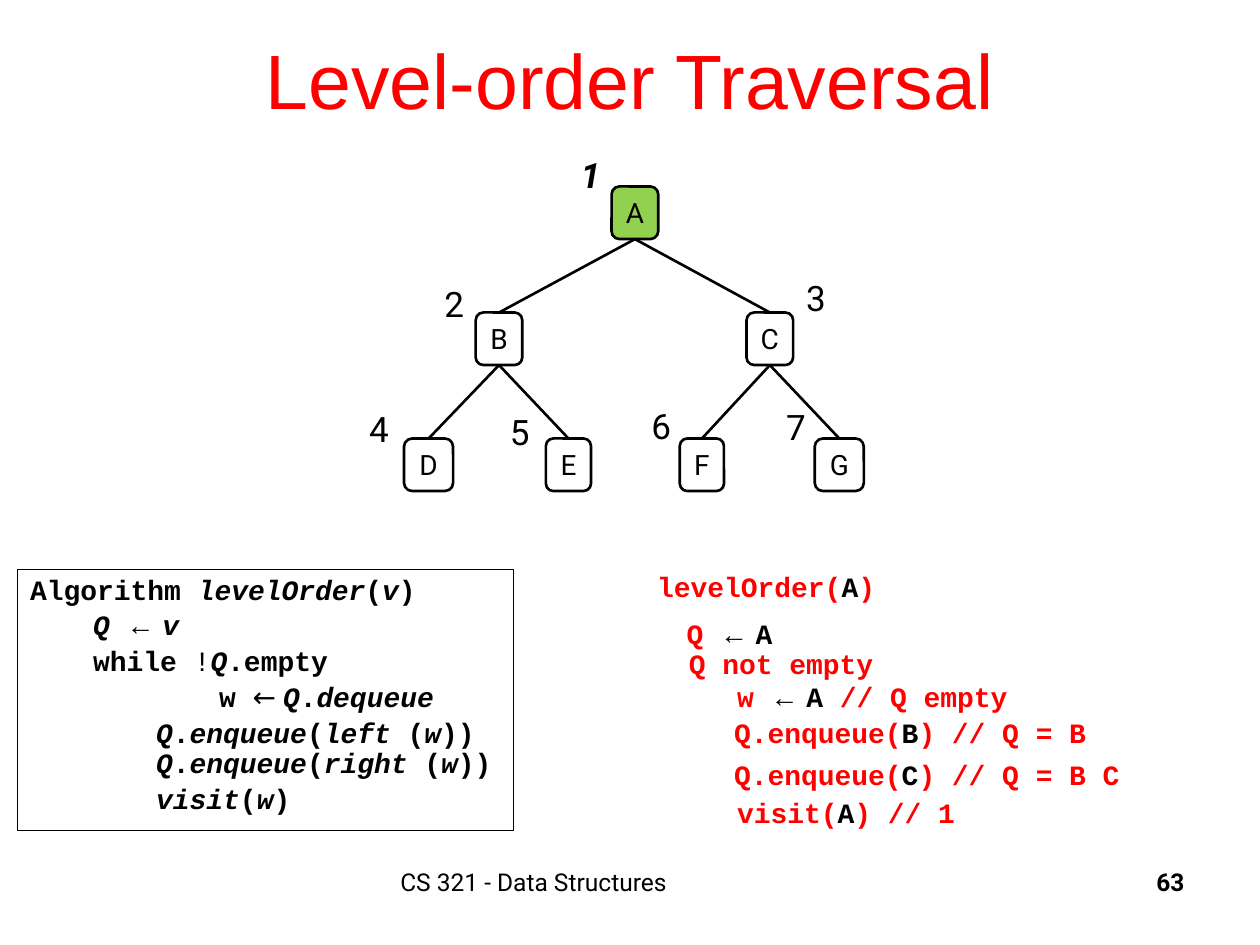
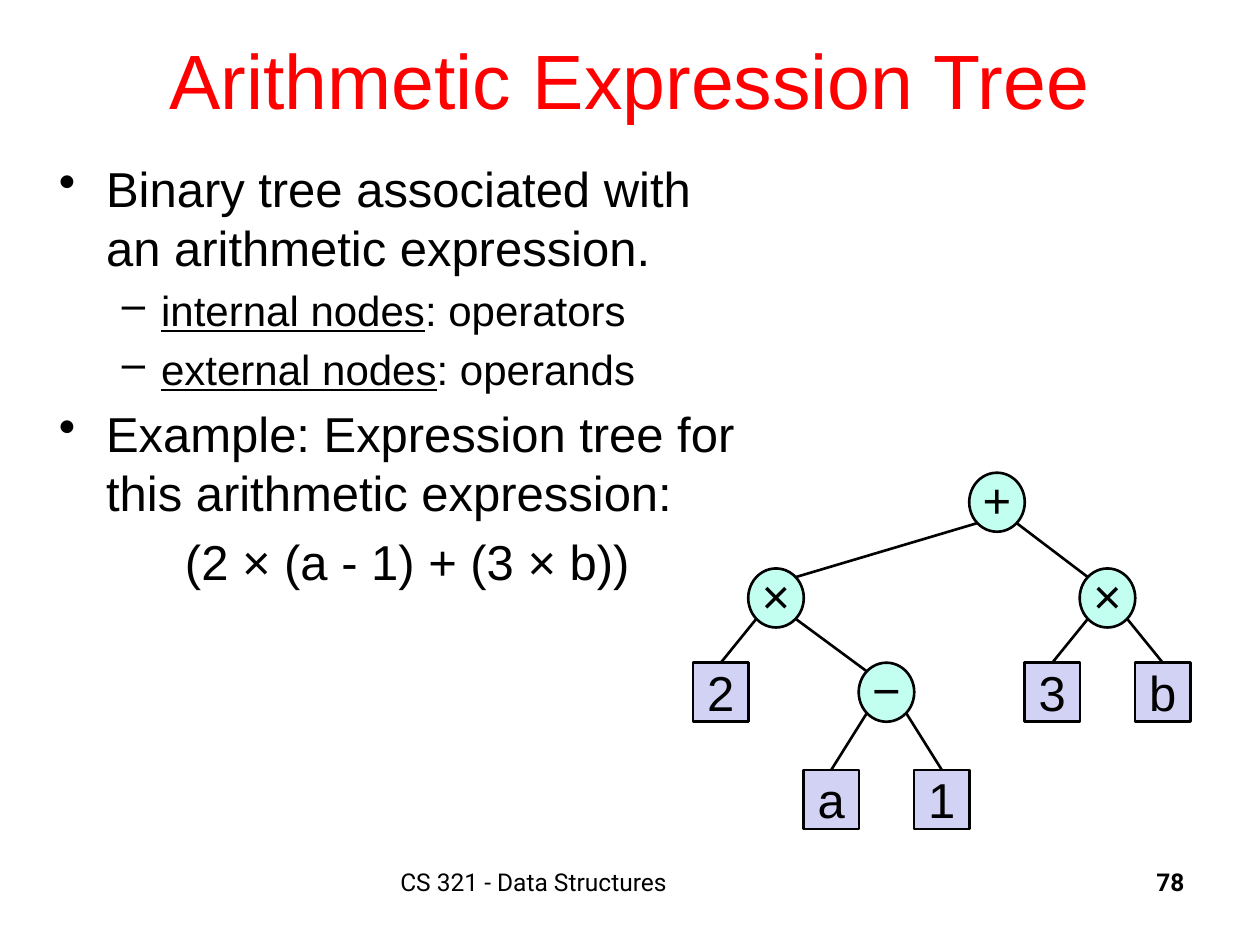
import dataclasses
import math

import lxml.etree
import pptx
import pptx.dml.color
import pptx.enum.shapes
import pptx.enum.text
import pptx.oxml.ns
import pptx.util

Cm = pptx.util.Cm
Pt = pptx.util.Pt
SHAPE = pptx.enum.shapes.MSO_SHAPE
ALIGN = pptx.enum.text.PP_ALIGN
ANCHOR = pptx.enum.text.MSO_ANCHOR


@dataclasses.dataclass(frozen=True)
class Theme:
    black: str = "000000"
    red: str = "FF0000"
    visited: str = "92D050"
    operator: str = "C2FFF0"
    operand: str = "D2D2F4"
    sans: str = "Arial"
    label: str = "Roboto"
    code: str = "Courier New"
    title_size: int = 44
    body_size: int = 28
    detail_size: int = 24
    order_size: int = 20
    code_size: int = 16
    footer_size: int = 14
    tree_line: float = 1.5
    frame_line: float = 0.75


THEME = Theme()


@dataclasses.dataclass(frozen=True)
class Line:
    """A paragraph with its own indent, bullet or size; lengths in cm."""
    text: str
    indent: float = 0
    hanging: float = 0
    bullet: str = ""
    size: int = 0


def place(box):
    return [Cm(value) for value in box]


def rgb(color):
    return pptx.dml.color.RGBColor.from_string(color)


def split_runs(text, marks):
    """Yield (text, format) pieces; each mark character switches its format on or off."""
    piece, active = "", None
    for character in text:
        if character in marks:
            if piece:
                yield piece, marks.get(active, {})
            piece, active = "", None if active == character else character
        else:
            piece += character
    if piece:
        yield piece, marks.get(active, {})


def format_font(font, size, name, color, bold=False, italic=False, underline=False):
    font.size = Pt(size)
    font.name = name
    font.color.rgb = rgb(color)
    font.bold, font.italic, font.underline = bold, italic, underline


def set_indent(paragraph, line):
    properties = paragraph._p.get_or_add_pPr()
    properties.set("marL", str(Cm(line.indent)))
    properties.set("indent", str(Cm(-line.hanging)))
    if line.bullet:
        bullet = lxml.etree.SubElement(properties, pptx.oxml.ns.qn("a:buChar"))
        bullet.set("char", line.bullet)


def write_text(shape, lines, align=ALIGN.LEFT, anchor=ANCHOR.TOP, wrap=True,
               margins=(0.25, 0.13, 0.25, 0.13), spacing=None, marks=None, **font):
    """Fill a shape with one string or a list of Line objects."""
    frame = shape.text_frame
    frame.word_wrap = wrap
    frame.vertical_anchor = anchor
    (frame.margin_left, frame.margin_top,
     frame.margin_right, frame.margin_bottom) = place(margins)
    if isinstance(lines, str):
        lines = [Line(lines)]
    for index, line in enumerate(lines):
        paragraph = frame.add_paragraph() if index else frame.paragraphs[0]
        set_indent(paragraph, line)
        paragraph.alignment = align
        base = {**font, "size": line.size or font["size"]}
        if index:
            paragraph.space_before = Pt(0.2 * base["size"])
        if spacing:
            paragraph.line_spacing = spacing
        for text, change in split_runs(line.text, marks or {}):
            run = paragraph.add_run()
            run.text = text
            format_font(run.font, **{**base, **change})


def add_text(slide, box, lines, **style):
    write_text(slide.shapes.add_textbox(*place(box)), lines, **style)


def add_shape(slide, kind, box, lines, fill=None, line_width=THEME.tree_line, **style):
    shape = slide.shapes.add_shape(kind, *place(box))
    shape.shadow.inherit = False
    if fill:
        shape.fill.solid()
        shape.fill.fore_color.rgb = rgb(fill)
    else:
        shape.fill.background()
    shape.line.color.rgb = rgb(THEME.black)
    shape.line.width = Pt(line_width)
    write_text(shape, lines, color=THEME.black, **style)


def add_edge(slide, start, end):
    edge = slide.shapes.add_connector(
        pptx.enum.shapes.MSO_CONNECTOR.STRAIGHT, *place((*start, *end)))
    edge.line.color.rgb = rgb(THEME.black)
    edge.line.width = Pt(THEME.tree_line)
    lxml.etree.SubElement(edge._element.spPr, pptx.oxml.ns.qn("a:effectLst"))


def add_base_slide(presentation, title, number):
    """Add a blank slide with the shared title and footer."""
    slide = presentation.slides.add_slide(presentation.slide_layouts[6])
    footer = dict(size=THEME.footer_size, name=THEME.label, color=THEME.black)
    add_text(slide, (7.82, 17.35, 9.73, 1.27), "CS 321 - Data Structures", **footer)
    add_text(slide, (18.85, 17.35, 5.28, 1.27), str(number),
             align=ALIGN.RIGHT, bold=True, **footer)
    add_text(slide, (1.9, 0, 21.6, 3.18), title, align=ALIGN.CENTER, anchor=ANCHOR.MIDDLE,
             size=THEME.title_size, name=THEME.sans, color=THEME.red)
    return slide


def add_traversal_tree(slide):
    # letter: centre, level, width, parent, left and top of the visit number
    nodes = {
        "A": (12.8, 0, 0.94, None, (11.46, 2.97)),
        "B": (10.06, 1, 0.94, "A", (8.71, 5.56)),
        "C": (15.52, 1, 0.94, "A", (16, 5.44)),
        "D": (8.64, 2, 0.99, "B", (7.19, 8.08)),
        "E": (11.46, 2, 0.91, "B", (10.03, 8.15)),
        "F": (14.15, 2, 0.89, "C", (12.88, 8.03)),
        "G": (16.92, 2, 0.99, "C", (15.6, 8.05)),
    }
    height, first_top, level_step = 1.06, 3.76, 2.54
    for order, (letter, node) in enumerate(nodes.items(), start=1):
        center, level, width, parent, order_place = node
        current = order == 1
        top = first_top + level * level_step
        add_shape(slide, SHAPE.ROUNDED_RECTANGLE, (center - width / 2, top, width, height),
                  letter, fill=THEME.visited if current else None, align=ALIGN.CENTER,
                  anchor=ANCHOR.MIDDLE, wrap=False, size=THEME.code_size, name=THEME.label)
        if parent:
            add_edge(slide, (nodes[parent][0], top - level_step + height), (center, top))
        add_text(slide, (*order_place, 0.99, 1.17), str(order), wrap=False,
                 size=THEME.order_size, name=THEME.label, color=THEME.black,
                 bold=current, italic=current)


def add_algorithm(slide):
    lines = [
        Line("Algorithm *levelOrder*(*v*)"),
        Line("*Q *~← ~*v*", indent=1.27),
        Line("while |!|*Q*.empty", indent=1.27),
        Line("*w *^← ^*Q*.*dequeue*".replace("*w *", "w "), indent=3.81),
        Line("*Q*.*enqueue*(*left *(*w*)) *Q*.*enqueue*(*right *(*w*))", indent=2.54),
        Line("*visit*(*w*)", indent=2.54),
    ]
    marks = {
        "*": dict(italic=True),
        "~": dict(name=THEME.sans, bold=False),
        "^": dict(name=THEME.label, bold=False),
        "|": dict(bold=False),
    }
    add_shape(slide, SHAPE.RECTANGLE, (0.36, 11.48, 10, 5.26), lines,
              line_width=THEME.frame_line, spacing=0.9, marks=marks,
              size=THEME.code_size, name=THEME.code, bold=True)


def add_trace(slide):
    """Write the calls made so far, with their actual values in black."""
    steps = [
        (13, 11.35, "levelOrder(*A*)"),
        (13.59, 12.29, "Q ~← ~*A*"),
        (13.64, 12.9, "Q not empty"),
        (14.61, 13.56, "w ~← ~*A *// Q empty"),
        (14.55, 14.3, "Q.enqueue(*B*) // Q = B"),
        (14.55, 15.14, "Q.enqueue(*C*) // Q = B C"),
        (14.61, 15.9, "visit(*A*) // 1"),
    ]
    marks = {
        "*": dict(color=THEME.black),
        "~": dict(name=THEME.sans, color=THEME.black, bold=False),
    }
    for left, top, text in steps:
        add_text(slide, (left, top, 8.6, 0.94), text, marks=marks, size=THEME.code_size,
                 name=THEME.code, color=THEME.red, bold=True)


def add_expression_notes(slide):
    topic = dict(indent=0.95, hanging=0.95, bullet="•")
    detail = dict(indent=2.06, hanging=0.79, bullet="–", size=THEME.detail_size)
    lines = [
        Line("Binary tree associated with an arithmetic expression.", **topic),
        Line("_internal nodes_: operators", **detail),
        Line("_external nodes_: operands", **detail),
        Line("Example: Expression tree for this arithmetic expression:", **topic),
        Line("(2 × (a - 1) + (3 × b))", indent=2.54),
    ]
    add_text(slide, (0.94, 3.07, 14.45, 13.67), lines, marks={"_": dict(underline=True)},
             size=THEME.body_size, name=THEME.sans, color=THEME.black)


def add_expression_tree(slide):
    """Draw the tree with one column for each symbol, in in-order sequence."""
    # symbol, row, column of the parent
    nodes = [("2", 2, 1), ("×", 1, 5), ("a", 3, 3), ("−", 2, 1), ("1", 3, 3),
             ("+", 0, None), ("3", 2, 7), ("×", 1, 5), ("b", 2, 7)]
    row_tops = (9.53, 11.46, 13.36, 15.52)
    first_left, last_left = 13.97, 22.88
    width, height = 1.12, 1.19
    column_step = (last_left - first_left) / (len(nodes) - 1)
    diagonal = math.sqrt(0.5)

    def center(column):
        return (first_left + column * column_step + width / 2,
                row_tops[nodes[column][1]] + height / 2)

    def rim(column, side, direction):
        """Point on an operator's outline, halfway between two axes."""
        x, y = center(column)
        return (x + side * diagonal * width / 2, y + direction * diagonal * height / 2)

    for column, (symbol, row, parent) in enumerate(nodes):
        x, y = center(column)
        is_operator = symbol in "+−×"
        kind, fill, margins = SHAPE.RECTANGLE, THEME.operand, (0.25, 0.13, 0.25, 0.13)
        if is_operator:
            kind, fill, margins = SHAPE.OVAL, THEME.operator, (0, 0, 0, 0.13)
        add_shape(slide, kind, (x - width / 2, row_tops[row], width, height), symbol,
                  fill=fill, margins=margins, align=ALIGN.CENTER, anchor=ANCHOR.MIDDLE,
                  wrap=False, size=THEME.body_size, name=THEME.sans)
        if parent is not None:
            side = 1 if column > parent else -1
            end = rim(column, -side, -1) if is_operator else (x, row_tops[row])
            add_edge(slide, rim(parent, side, 1), end)


def main():
    presentation = pptx.Presentation()
    presentation.slide_width, presentation.slide_height = Cm(25.4), Cm(19.05)

    traversal = add_base_slide(presentation, "Level-order Traversal", 63)
    add_algorithm(traversal)
    add_traversal_tree(traversal)
    add_trace(traversal)

    expression = add_base_slide(presentation, "Arithmetic Expression Tree", 78)
    add_expression_notes(expression)
    add_expression_tree(expression)

    presentation.save("out.pptx")


if __name__ == "__main__":
    main()
